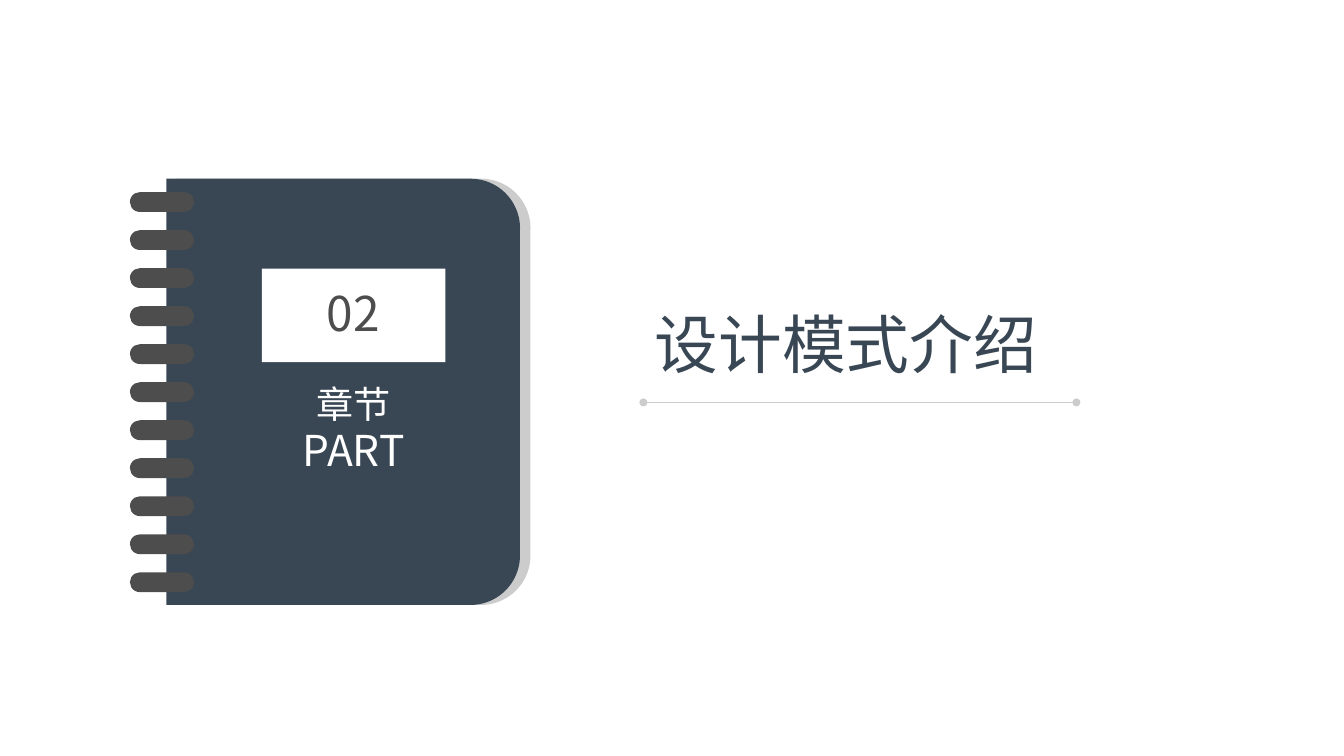
from dataclasses import dataclass

from lxml import etree
from pptx import Presentation
from pptx.dml.color import RGBColor
from pptx.enum.shapes import MSO_CONNECTOR, MSO_SHAPE
from pptx.enum.text import MSO_ANCHOR, MSO_AUTO_SIZE, PP_ALIGN
from pptx.oxml.ns import qn
from pptx.util import Inches, Pt

RECT, ROUNDED = MSO_SHAPE.RECTANGLE, MSO_SHAPE.ROUNDED_RECTANGLE
TWO_ROUND = MSO_SHAPE.ROUND_2_SAME_RECTANGLE
STRAIGHT = MSO_CONNECTOR.STRAIGHT
LEFT, CENTER = PP_ALIGN.LEFT, PP_ALIGN.CENTER
TOP, NO_FIT = MSO_ANCHOR.TOP, MSO_AUTO_SIZE.NONE
TITLE_ONLY = 5
RINGS = 11


@dataclass(frozen=True)
class Theme:
    navy: str = "394754"
    grey: str = "CCCCCC"
    dark: str = "4D4D4D"
    white: str = "FFFFFF"
    font: str = "Noto Sans CJK SC"
    title: int = 48
    number: int = 36
    caption: int = 32
    chapter: int = 28


@dataclass(frozen=True)
class Box:
    x: int
    y: int
    w: int
    h: int

    def inner(self, x, y, w, h):
        """Inner box, given in percent of this one."""
        return Box(int(self.x + self.w * x / 100), int(self.y + self.h * y / 100),
                   int(self.w * w / 100), int(self.h * h / 100))

    def turned(self):
        """Box that covers this one after a quarter turn."""
        return Box(self.x + (self.w - self.h) // 2, self.y + (self.h - self.w) // 2,
                   self.h, self.w)

    def place(self):
        return self.x, self.y, self.w, self.h


T = Theme()


def color(value):
    return RGBColor.from_string(value)


def add_text(tf, text, size, fill, align=LEFT, before=0, first=True):
    """Write one paragraph into a text frame."""
    if first:
        tf.word_wrap, tf.auto_size, tf.vertical_anchor = True, NO_FIT, TOP
        tf.margin_left = tf.margin_right = tf.margin_top = tf.margin_bottom = 0
    p = tf.paragraphs[0] if first else tf.add_paragraph()
    p.alignment, p.line_spacing, p.space_before = align, 0.9, Pt(before)
    r = p.add_run()
    r.text = text
    r.font.name, r.font.size = T.font, Pt(size)
    r.font.color.rgb = color(fill)
    etree.SubElement(r.font._element, qn("a:ea"), typeface=T.font)


def add_block(shapes, kind, box, fill, corner=None):
    sp = shapes.add_shape(kind, *box.place())
    sp.shadow.inherit = False
    sp.fill.solid()
    sp.fill.fore_color.rgb = color(fill)
    sp.line.fill.background()
    if corner is not None:
        sp.adjustments[0] = corner
    return sp


def add_notebook(s, box):
    shapes = s.shapes.add_group_shape().shapes

    # Back page and cover, rounded on the right
    for x, fill in ((11.69, T.grey), (9.07, T.navy)):
        page = box.inner(x, 0, 88.31, 100)
        add_block(shapes, TWO_ROUND, page.turned(), fill, 0.14).rotation = 90

    # Number label
    add_block(shapes, RECT, box.inner(32.94, 21.08, 45.82, 21.97), T.white)

    # Spiral rings
    first, pitch = 3.14, 8.92
    for i in range(RINGS):
        ring = box.inner(0, first + i * pitch, 15.99, 4.65)
        add_block(shapes, ROUNDED, ring, T.dark, 0.5)

    # Number and caption
    number = shapes.add_textbox(*box.inner(34.13, 26.23, 43.2, 14.35).place())
    add_text(number.text_frame, "02", T.number, T.dark, align=CENTER)
    caption = shapes.add_textbox(*box.inner(37.71, 48.65, 36.28, 25.11).place())
    add_text(caption.text_frame, "章节", T.chapter, T.white, align=CENTER)
    add_text(caption.text_frame, "PART", T.caption, T.white, align=CENTER,
             before=3, first=False)


def add_heading(s, box):
    # Title
    title, place = s.shapes.title, box.inner(2.65, 0, 94.48, 92.47)
    title.left, title.top, title.width, title.height = place.place()
    add_text(title.text_frame, "设计模式介绍", T.title, T.navy)

    # Underline with round ends
    bottom = box.y + box.h
    rule = s.shapes.add_connector(STRAIGHT, box.x, bottom, box.x + box.w, bottom)
    rule.line.color.rgb = color(T.grey)
    rule.line.width = Pt(1)
    ln = rule.line._get_or_add_ln()
    for end in ("a:headEnd", "a:tailEnd"):
        etree.SubElement(ln, qn(end), type="oval")
    etree.SubElement(rule._element.spPr, qn("a:effectLst"))


def main():
    prs = Presentation()
    prs.slide_width, prs.slide_height = Inches(14.06), Inches(7.91)
    s = prs.slides.add_slide(prs.slide_layouts[TITLE_ONLY])
    page = Box(0, 0, prs.slide_width, prs.slide_height)
    add_notebook(s, page.inner(9.67, 23.64, 29.8, 56.38))
    add_heading(s, page.inner(47.87, 41.47, 32.22, 11.76))
    prs.save("out.pptx")


if __name__ == "__main__":
    main()
